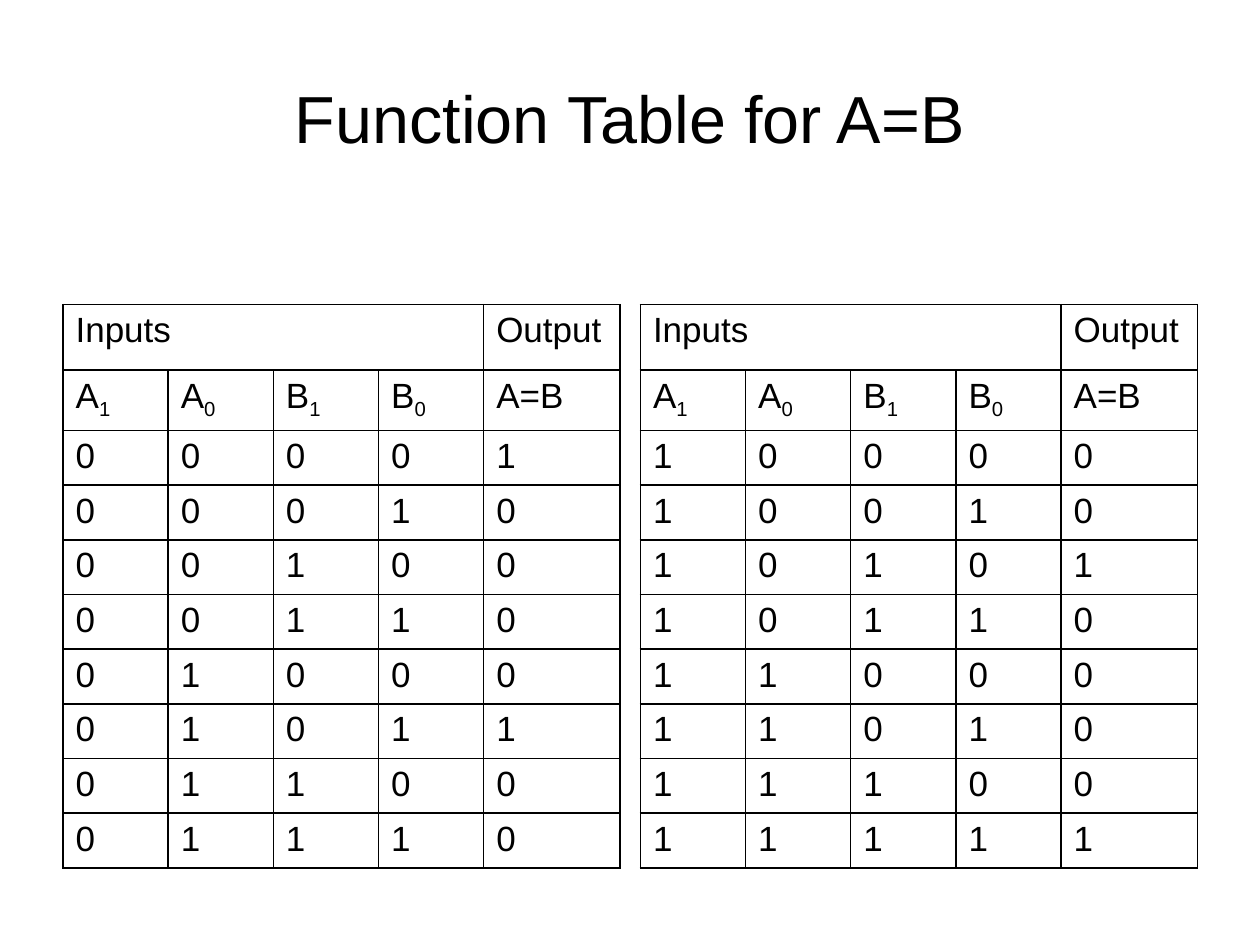
from itertools import product

from lxml import etree
from pptx import Presentation
from pptx import util as u
from pptx.dml.color import RGBColor
from pptx.enum import text
from pptx.oxml.ns import qn

BLACK = RGBColor(0x00, 0x00, 0x00)
FONT = "Arial"
INPUT_WIDTH, OUTPUT_WIDTH = 2.12, 2.75
HEADING_HEIGHT, ROW_HEIGHT = 1.32, 1.1
HANGING = 0.95
SUBSCRIPT = "-25000"
INPUTS = [("A", "1"), ("A", "0"), ("B", "1"), ("B", "0")]


def style(paragraph, size, alignment):
    paragraph.alignment = alignment
    paragraph.font.size = u.Pt(size)
    paragraph.font.name = FONT
    paragraph.font.color.rgb = BLACK


def add_title(slide, left, top, width, height, wording):
    title = slide.shapes.add_textbox(u.Cm(left), u.Cm(top), u.Cm(width), u.Cm(height))
    frame = title.text_frame
    frame.word_wrap = True
    frame.vertical_anchor = text.MSO_ANCHOR.MIDDLE
    frame.text = wording
    style(frame.paragraphs[0], 38, text.PP_ALIGN.CENTER)


def outline(cell):
    properties = cell._tc.get_or_add_tcPr()
    for side in ("lnL", "lnR", "lnT", "lnB"):
        line = etree.SubElement(properties, qn(f"a:{side}"), w=str(u.Pt(1)))
        fill = etree.SubElement(line, qn("a:solidFill"))
        etree.SubElement(fill, qn("a:srgbClr"), val=str(BLACK))
    cell.fill.background()


def write(cell, wording, hanging, subscript=""):
    paragraph = cell.text_frame.paragraphs[0]
    paragraph.add_run().text = wording
    if subscript:
        index = paragraph.add_run()
        index.text = subscript
        index.font._element.set("baseline", SUBSCRIPT)
    if hanging:
        properties = paragraph._p.get_or_add_pPr()
        properties.set("marL", str(u.Cm(hanging)))
        properties.set("indent", str(-u.Cm(hanging)))
    style(paragraph, 20, text.PP_ALIGN.JUSTIFY)


def add_function_table(slide, left, top, a1, hanging=0):
    states = [(a1, *rest) for rest in product((0, 1), repeat=3)]
    widths = [INPUT_WIDTH] * len(INPUTS) + [OUTPUT_WIDTH]
    heights = [HEADING_HEIGHT] + [ROW_HEIGHT] * (len(states) + 1)
    table = slide.shapes.add_table(
        len(heights), len(widths), u.Cm(left), u.Cm(top),
        u.Cm(sum(widths)), u.Cm(sum(heights))).table
    table.first_row = table.horz_banding = False
    for column, width in zip(table.columns, widths):
        column.width = u.Cm(width)
    for row, height in zip(table.rows, heights):
        row.height = u.Cm(height)
    for cell in table.iter_cells():
        outline(cell)

    output = len(INPUTS)
    table.cell(0, 0).merge(table.cell(0, output - 1))
    write(table.cell(0, 0), "Inputs", hanging)
    write(table.cell(0, output), "Output", hanging)
    for column, (letter, index) in enumerate(INPUTS):
        write(table.cell(1, column), letter, hanging, index)
    write(table.cell(1, output), "A=B", hanging)
    for row, bits in enumerate(states, start=2):
        equal = int(bits[:2] == bits[2:])
        for column, bit in enumerate((*bits, equal)):
            write(table.cell(row, column), str(bit), hanging)


def main():
    deck = Presentation()
    deck.slide_width, deck.slide_height = u.Cm(25.4), u.Cm(19.05)
    slide = deck.slides.add_slide(deck.slide_layouts[6])
    add_title(slide, 1.27, 0.76, 22.86, 3.18, "Function Table for A=B")
    add_function_table(slide, 1.27, 6.14, a1=0, hanging=HANGING)
    add_function_table(slide, 12.91, 6.14, a1=1)
    deck.save("out.pptx")


if __name__ == "__main__":
    main()
